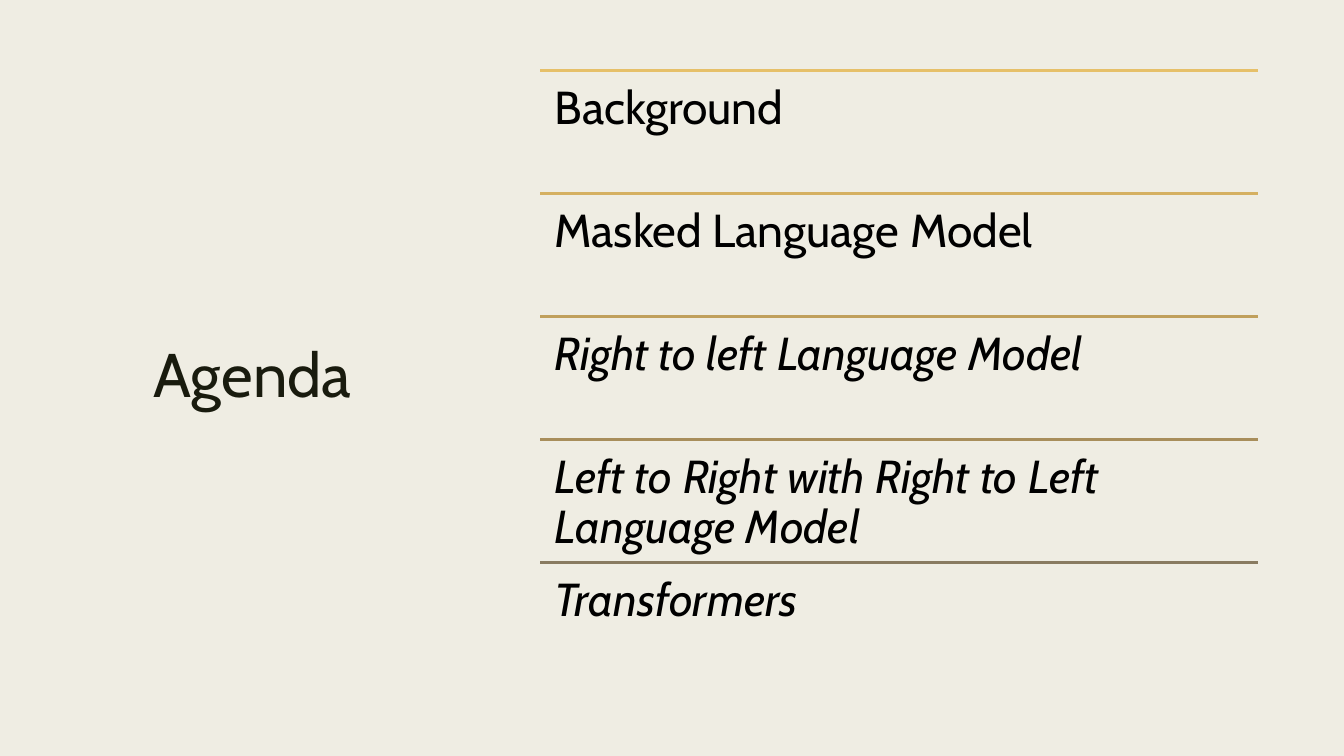
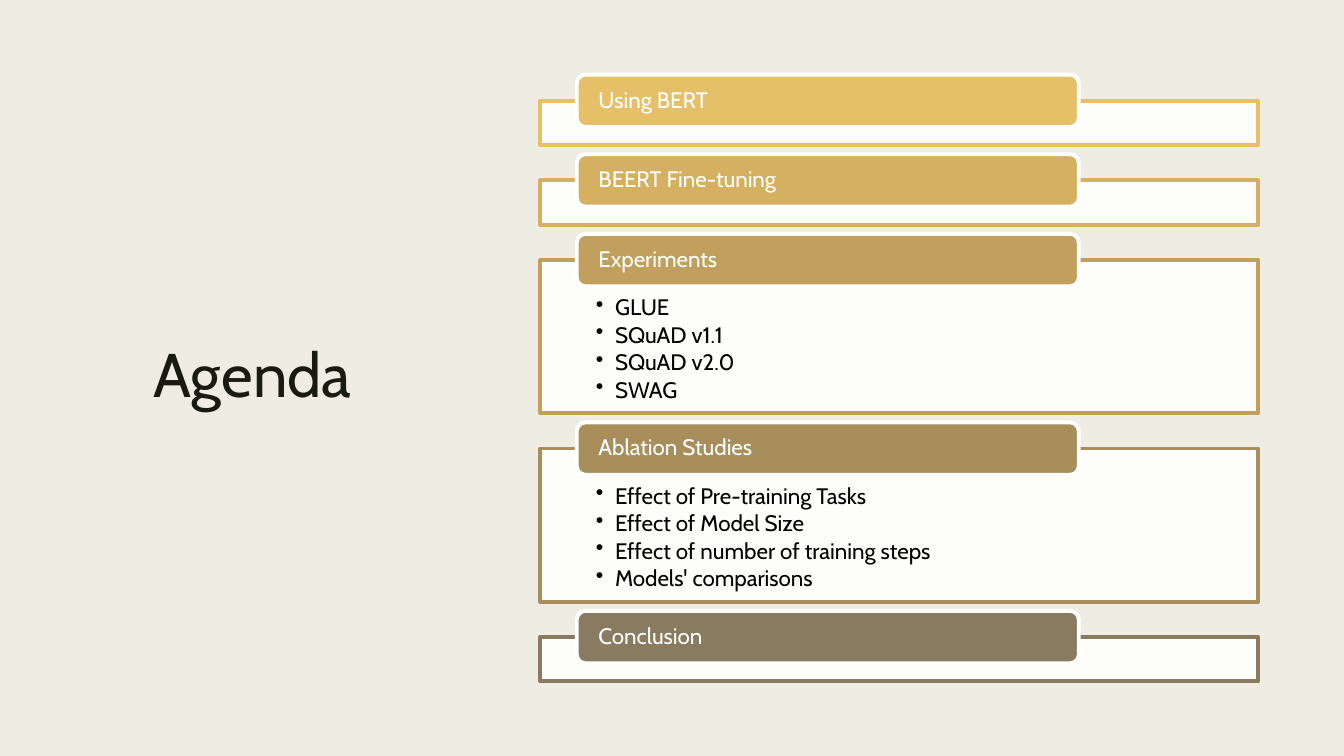
from pptx import Presentation
from pptx.dml.color import RGBColor
from pptx.enum.shapes import MSO_CONNECTOR, MSO_SHAPE
from pptx.enum.text import MSO_ANCHOR, MSO_AUTO_SIZE, PP_ALIGN
from pptx.oxml.ns import qn
from pptx.util import Inches, Pt
from lxml import etree

STRAIGHT = MSO_CONNECTOR.STRAIGHT
RECTANGLE, ROUNDED = MSO_SHAPE.RECTANGLE, MSO_SHAPE.ROUNDED_RECTANGLE
TOP, MIDDLE = MSO_ANCHOR.TOP, MSO_ANCHOR.MIDDLE
LEFT, CENTER = PP_ALIGN.LEFT, PP_ALIGN.CENTER
NO_AUTOFIT = MSO_AUTO_SIZE.NONE

FONT = "Cabin"
PAPER, INK, BLACK, WHITE = "EFEDE3", "191B0E", "000000", "FFFFFF"
ACCENTS = ["E6C069", "D5B061", "C0A05C", "A88E5B", "897B61"]
RULE_WIDTH = Pt(2.75)

CONTENT_LEFT, CONTENT_WIDTH = 5.36, 7.12
TOPICS_TOP, TOPIC_PITCH = 0.7, 1.22
PANELS_TOP, PANEL_GAP = 1.0, 0.35
EMPTY_HEIGHT, LIST_HEIGHT = 0.44, 1.52
TAB_LEFT, TAB_WIDTH, TAB_HEIGHT, TAB_RISE = 5.72, 4.98, 0.52, 0.26

TOPICS = [
    ("Background", False),
    ("Masked Language Model", False),
    ("Right to left Language Model", True),
    ("Left to Right with Right to Left Language Model", True),
    ("Transformers", True),
]
SECTIONS = [
    ("Using BERT", []),
    ("BEERT Fine-tuning", []),
    ("Experiments", ["GLUE", "SQuAD v1.1", "SQuAD v2.0", "SWAG"]),
    ("Ablation Studies", [
        "Effect of Pre-training Tasks",
        "Effect of Model Size",
        "Effect of number of training steps",
        "Models' comparisons",
    ]),
    ("Conclusion", []),
]


def rgb(color):
    return RGBColor.from_string(color)


def set_attributes(target, values):
    for name, value in values.items():
        setattr(target, name, value)


def add_bullet(paragraph):
    properties = paragraph._p.get_or_add_pPr()
    properties.set("marL", str(Inches(0.19)))
    properties.set("indent", str(Inches(-0.19)))
    etree.SubElement(properties, qn("a:buChar"), char="•")


def write_text(holder, lines, size, color, insets=(0.1, 0.05, 0.1, 0.05), anchor=TOP,
               align=LEFT, spacing=0.9, after=0, italic=False, bullets=False):
    frame = holder.text_frame
    sides = ("margin_left", "margin_top", "margin_right", "margin_bottom")
    set_attributes(frame, dict(zip(sides, map(Inches, insets))))
    set_attributes(frame, {"word_wrap": True, "auto_size": NO_AUTOFIT,
                           "vertical_anchor": anchor})
    frame.text = "\n".join(lines)
    for paragraph in frame.paragraphs:
        set_attributes(paragraph, {"alignment": align, "line_spacing": spacing,
                                   "space_after": Pt(after)})
        font = paragraph.runs[0].font
        set_attributes(font, {"name": FONT, "size": Pt(size), "italic": italic})
        font.color.rgb = rgb(color)
        if bullets:
            add_bullet(paragraph)


def add_box(slide, kind, left, top, width, height, fill, line, opacity=100):
    box = slide.shapes.add_shape(kind, *map(Inches, (left, top, width, height)))
    box.shadow.inherit = False
    box.fill.solid()
    box.fill.fore_color.rgb = rgb(fill)
    box.line.color.rgb = rgb(line)
    box.line.width = RULE_WIDTH
    if opacity < 100:
        fill_color = box._element.spPr.find(qn("a:solidFill"))[0]
        etree.SubElement(fill_color, qn("a:alpha"), val=str(opacity * 1000))
    return box


def add_rule(slide, top, color):
    rule = slide.shapes.add_connector(
        STRAIGHT, Inches(CONTENT_LEFT), Inches(top),
        Inches(CONTENT_LEFT + CONTENT_WIDTH), Inches(top))
    rule.line.color.rgb = rgb(color)
    rule.line.width = RULE_WIDTH
    etree.SubElement(rule._element.spPr, qn("a:effectLst"))


def add_topic(slide, top, topic, italic, color):
    add_rule(slide, top, color)
    label = slide.shapes.add_textbox(
        *map(Inches, (CONTENT_LEFT, top, CONTENT_WIDTH, TOPIC_PITCH)))
    write_text(label, [topic], 33, BLACK, insets=(0.14,) * 4, italic=italic)


def add_section(slide, top, height, heading, items, color):
    panel = add_box(slide, RECTANGLE, CONTENT_LEFT, top, CONTENT_WIDTH, height,
                    WHITE, color, opacity=90)
    if items:
        write_text(panel, items, 16, BLACK, insets=(0.55, 0.36, 0.55, 0.12),
                   after=2.4, bullets=True)
    tab = add_box(slide, ROUNDED, TAB_LEFT, top - TAB_RISE, TAB_WIDTH, TAB_HEIGHT,
                  color, WHITE)
    write_text(tab, [heading], 16, WHITE, insets=(0.19, 0, 0.19, 0), anchor=MIDDLE)


def add_agenda_slide(prs):
    slide = prs.slides.add_slide(prs.slide_layouts.get_by_name("Title Only"))
    title = slide.shapes.title
    set_attributes(title, {"left": Inches(0.7), "top": Inches(0.7),
                           "width": Inches(3.61), "height": Inches(6.1)})
    write_text(title, ["Agenda"], 44, INK, anchor=MIDDLE, align=CENTER, spacing=0.89)
    return slide


def add_topics_slide(prs):
    slide = add_agenda_slide(prs)
    for index, ((topic, italic), color) in enumerate(zip(TOPICS, ACCENTS)):
        add_topic(slide, TOPICS_TOP + index * TOPIC_PITCH, topic, italic, color)


def add_sections_slide(prs):
    slide = add_agenda_slide(prs)
    top = PANELS_TOP
    for (heading, items), color in zip(SECTIONS, ACCENTS):
        height = LIST_HEIGHT if items else EMPTY_HEIGHT
        add_section(slide, top, height, heading, items, color)
        top += height + PANEL_GAP


def main():
    prs = Presentation()
    set_attributes(prs, {"slide_width": Inches(13.33), "slide_height": Inches(7.5)})
    background = prs.slide_master.background.fill
    background.solid()
    background.fore_color.rgb = rgb(PAPER)
    add_topics_slide(prs)
    add_sections_slide(prs)
    prs.save("out.pptx")


if __name__ == "__main__":
    main()
